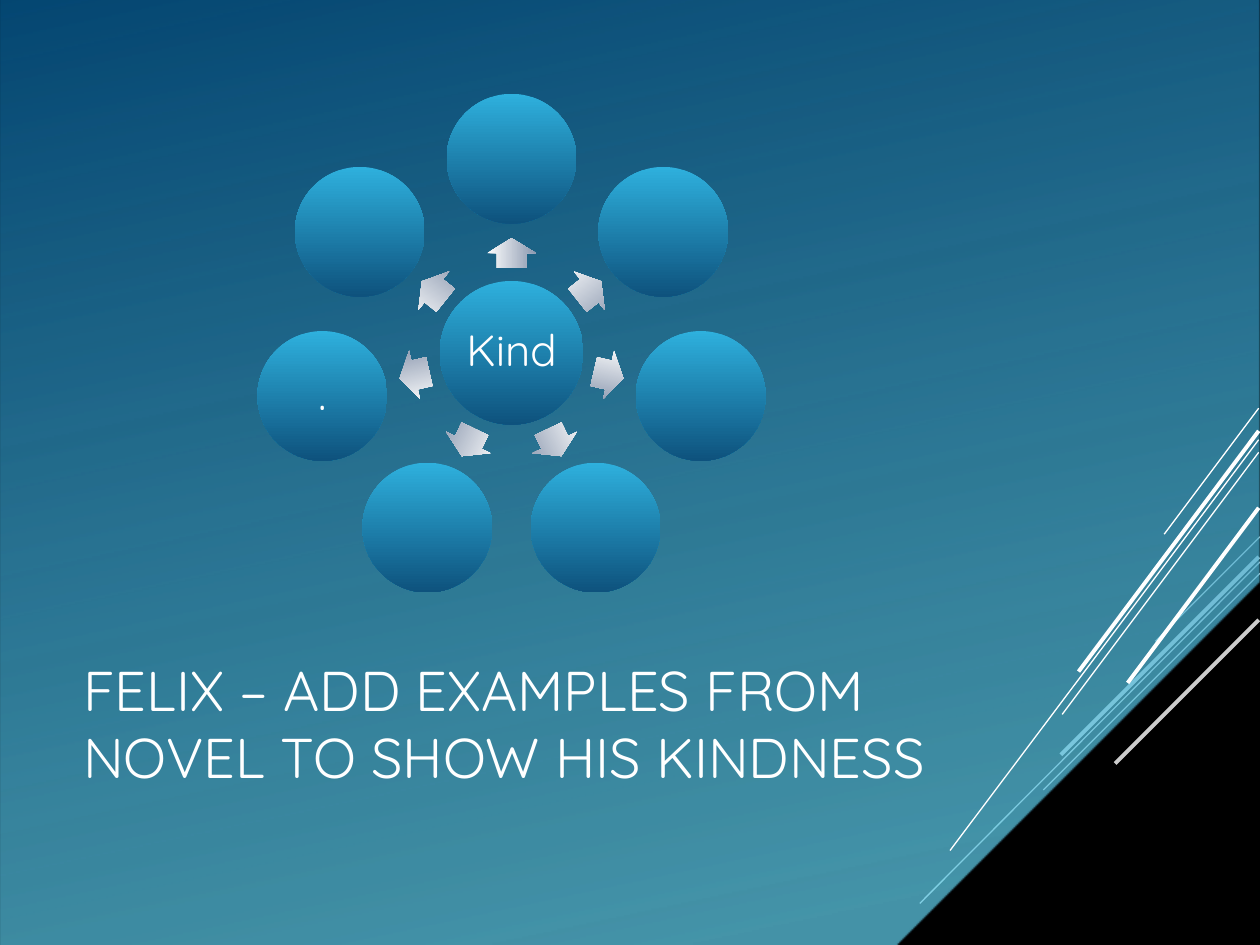
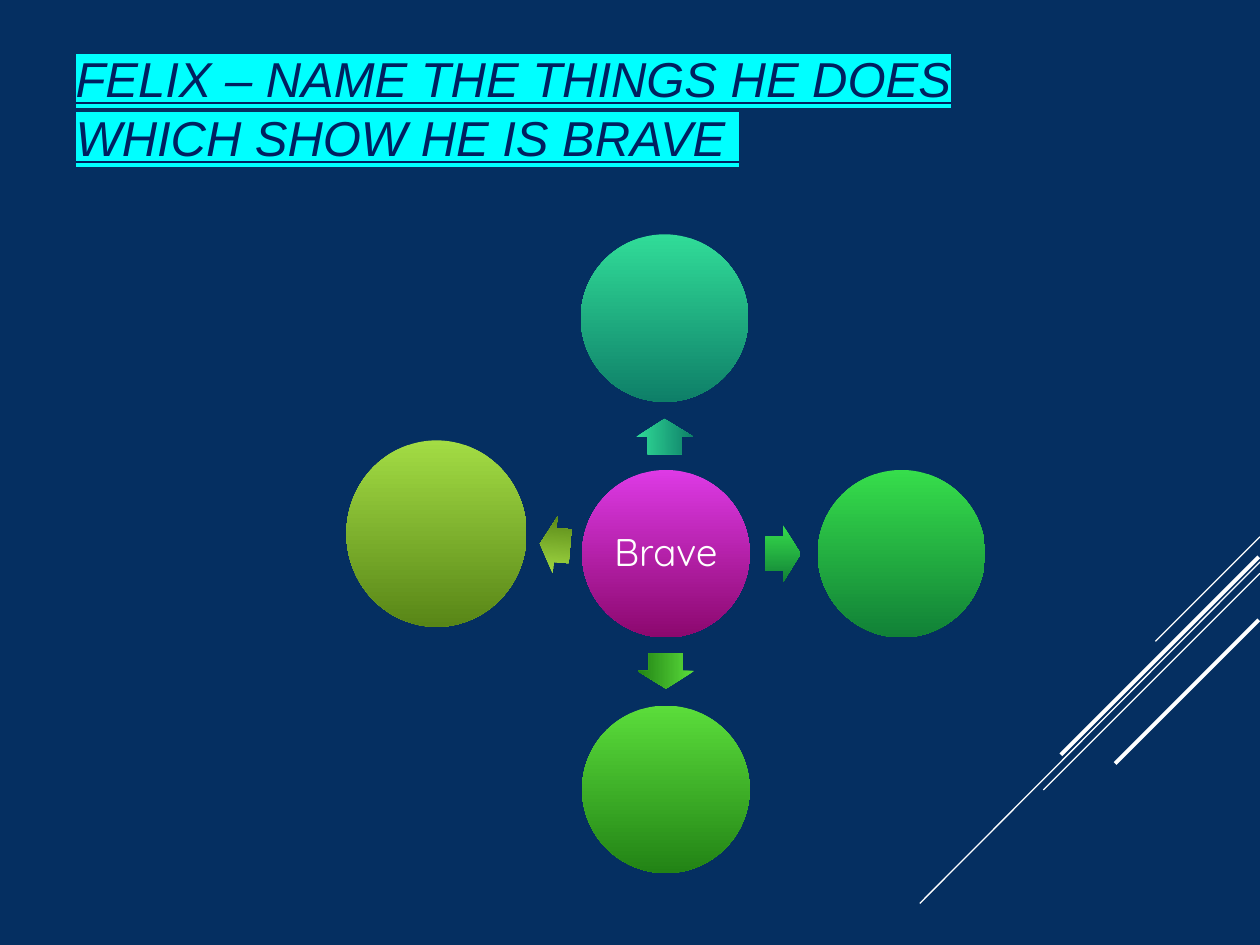
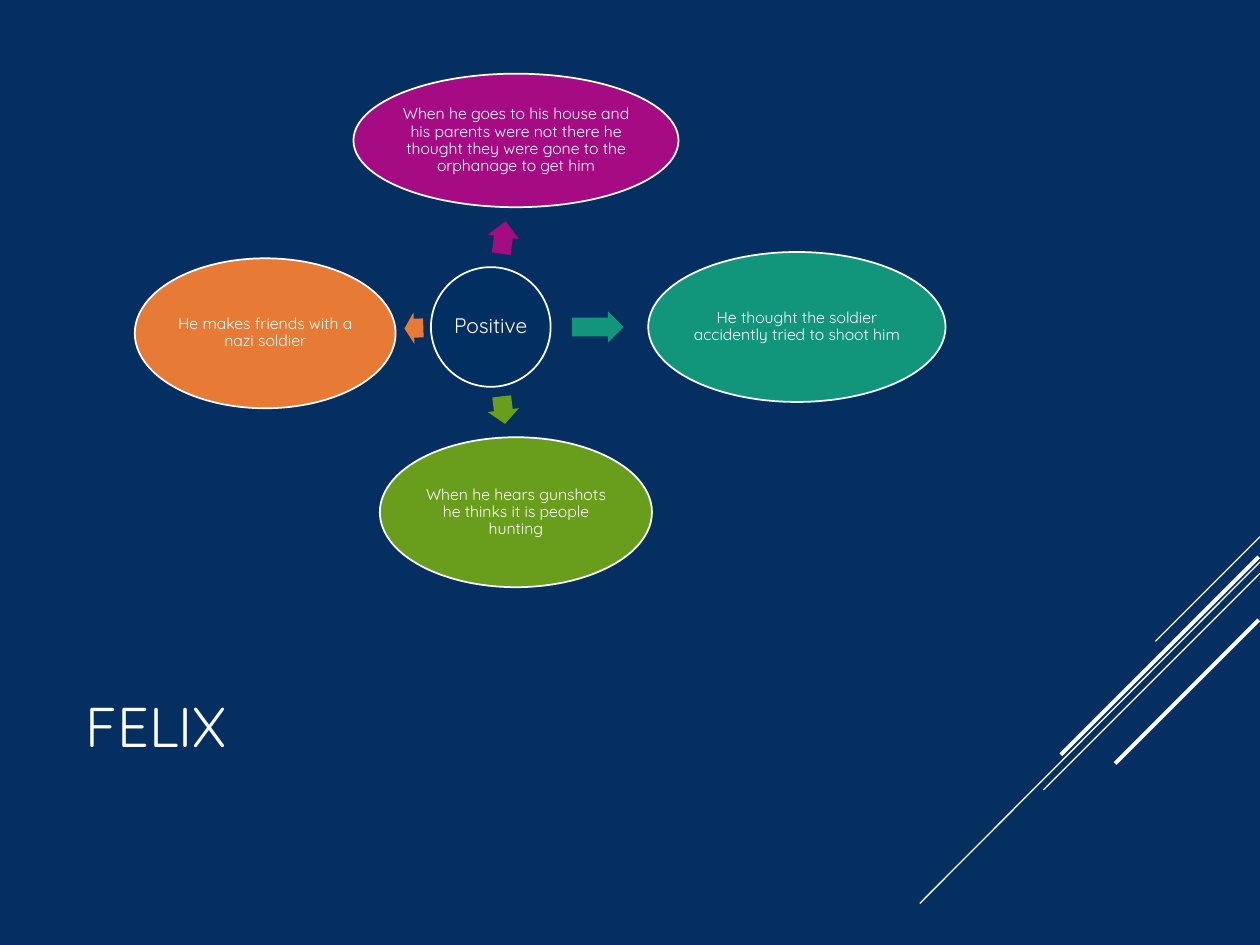
import math
from dataclasses import dataclass
from typing import Any

from lxml import etree
from pptx import Presentation
from pptx.dml.color import RGBColor
from pptx.enum.shapes import MSO_CONNECTOR, MSO_SHAPE
from pptx.enum.text import MSO_ANCHOR, MSO_AUTO_SIZE, PP_ALIGN
from pptx.oxml.ns import qn
from pptx.util import Inches, Pt

STRAIGHT = MSO_CONNECTOR.STRAIGHT
ELLIPSE, RIGHT_ARROW = MSO_SHAPE.OVAL, MSO_SHAPE.RIGHT_ARROW
RECTANGLE, SNIPPED = MSO_SHAPE.RECTANGLE, MSO_SHAPE.SNIP_1_RECTANGLE
MIDDLE = MSO_ANCHOR.MIDDLE
NO_AUTOFIT = MSO_AUTO_SIZE.NONE
LEFT, CENTER = PP_ALIGN.LEFT, PP_ALIGN.CENTER

WHITE = RGBColor(0xFF, 0xFF, 0xFF)
BLACK = RGBColor(0x00, 0x00, 0x00)
NAVY = RGBColor(0x05, 0x2F, 0x61)
DEEP_NAVY = RGBColor(0x00, 0x20, 0x60)
HUB_NAVY = RGBColor(0x02, 0x2F, 0x61)
CYAN = RGBColor(0x00, 0xFF, 0xFF)
SKY = RGBColor(0x62, 0xD2, 0xEF)
OCEAN = RGBColor(0x05, 0x57, 0x8D)
PURPLE = RGBColor(0xA5, 0x0B, 0x82)
TEAL = RGBColor(0x11, 0x96, 0x7B)
OLIVE = RGBColor(0x68, 0x9E, 0x1C)
ORANGE = RGBColor(0xE7, 0x7A, 0x35)

BLUE_FADE = (RGBColor(0x2E, 0xB0, 0xDD), RGBColor(0x0E, 0x52, 0x7D))
SILVER_FADE = (RGBColor(0xFE, 0xFE, 0xFE), RGBColor(0x8A, 0x98, 0xAF))
MAGENTA_FADE = (RGBColor(0xDD, 0x3A, 0xE5), RGBColor(0x8C, 0x08, 0x6E))
MINT_FADE = (RGBColor(0x31, 0xDC, 0x98), RGBColor(0x0E, 0x7F, 0x68))
GREEN_FADE = (RGBColor(0x36, 0xDD, 0x4B), RGBColor(0x11, 0x81, 0x37))
GRASS_FADE = (RGBColor(0x5B, 0xDD, 0x3B), RGBColor(0x22, 0x83, 0x15))
LIME_FADE = (RGBColor(0xA3, 0xDC, 0x44), RGBColor(0x58, 0x86, 0x17))

BODY_FONT = "Quicksand"
SLIDE_WIDTH, SLIDE_HEIGHT = 10, 7.5
THIN, THICK = 0.75, 2.25

DIAGONAL_STREAKS = [
    (10, 4.26, 9.17, 5.09, THIN),
    (10, 4.46, 7.3, 7.17, THIN),
    (10, 4.55, 8.28, 6.27, THIN),
    (9.99, 4.42, 8.42, 5.99, THICK),
    (9.99, 4.92, 8.85, 6.06, THICK),
]
STEEP_STREAKS = [
    (9.99, 3.24, 9.24, 4.24, THIN),
    (9.99, 3.49, 7.54, 6.75, THIN),
    (9.99, 3.59, 8.43, 5.67, THIN),
    (9.99, 3.42, 8.56, 5.33, THICK),
    (9.99, 4.03, 8.95, 5.42, THICK),
]


@dataclass
class Spoke:
    petal_offset: tuple
    petal_size: tuple
    arrow_offset: tuple
    arrow_size: tuple
    angle: float
    petal_paint: Any
    arrow_paint: Any
    text: str = ""


@dataclass
class Style:
    hub_size: float
    petal_size: float
    inset: float
    outlined: bool = False


def apply_gradient(shape, stops, angle):
    gradient = etree.Element(qn("a:gradFill"), rotWithShape="1")
    stop_list = etree.SubElement(gradient, qn("a:gsLst"))
    for position, color, opacity in stops:
        stop = etree.SubElement(stop_list, qn("a:gs"), pos=str(position * 1000))
        tint = etree.SubElement(stop, qn("a:srgbClr"), val=str(color))
        if opacity < 100:
            etree.SubElement(tint, qn("a:alpha"), val=str(opacity * 1000))
    etree.SubElement(gradient, qn("a:lin"), ang=str(angle * 60000), scaled="0")
    shape._element.spPr.find(qn("a:prstGeom")).addnext(gradient)


def add_plain_shape(slide, kind, box):
    shape = slide.shapes.add_shape(kind, *map(Inches, box))
    shape.shadow.inherit = False
    shape.line.fill.background()
    return shape


def add_centred(slide, kind, centre, size, paint):
    box = (centre[0] - size[0] / 2, centre[1] - size[1] / 2, *size)
    shape = add_plain_shape(slide, kind, box)
    if isinstance(paint, RGBColor):
        shape.fill.solid()
        shape.fill.fore_color.rgb = paint
    else:
        apply_gradient(shape, [(0, paint[0], 100), (100, paint[1], 100)], 90)
    return shape


def add_disc(slide, centre, size, paint, text, font_size, style):
    disc = add_centred(slide, ELLIPSE, centre, size, paint)
    if style.outlined:
        disc.line.color.rgb = WHITE
        disc.line.width = Pt(1)
    if not text:
        return
    frame = disc.text_frame
    frame.word_wrap = True
    frame.vertical_anchor = MIDDLE
    frame.margin_left = frame.margin_right = Inches(style.inset)
    frame.margin_top = frame.margin_bottom = Inches(style.inset)
    label = frame.paragraphs[0]
    label.text = text
    label.alignment = CENTER
    label.line_spacing = 0.9
    label.font.name = BODY_FONT
    label.font.size = Pt(font_size)
    label.font.color.rgb = WHITE


def add_hub_diagram(slide, hub_box, hub_text, hub_paint, spokes, style):
    left, top, width, height = hub_box
    hub = (left + width / 2, top + height / 2)

    def from_hub(offset):
        return hub[0] + offset[0], hub[1] + offset[1]

    add_disc(slide, hub, (width, height), hub_paint, hub_text, style.hub_size, style)
    for spoke in spokes:
        arrow = add_centred(slide, RIGHT_ARROW, from_hub(spoke.arrow_offset),
                            spoke.arrow_size, spoke.arrow_paint)
        arrow.adjustments[0] = 0.6
        arrow.adjustments[1] = 0.5
        arrow.rotation = spoke.angle
        add_disc(slide, from_hub(spoke.petal_offset), spoke.petal_size,
                 spoke.petal_paint, spoke.text, style.petal_size, style)


def ring_spokes(texts, petal_radius, arrow_radius, petal_size, arrow_size):
    spokes = []
    for index, text in enumerate(texts):
        angle = (270 + index * 360 / len(texts)) % 360
        turn = math.radians(angle)
        direction = (math.cos(turn), math.sin(turn))
        spokes.append(Spoke(
            tuple(petal_radius * part for part in direction), petal_size,
            tuple(arrow_radius * part for part in direction), arrow_size,
            angle, BLUE_FADE, SILVER_FADE, text))
    return spokes


def add_streaks(slide, streaks):
    for x1, y1, x2, y2, weight in streaks:
        streak = slide.shapes.add_connector(STRAIGHT, *map(Inches, (x1, y1, x2, y2)))
        streak.line.color.rgb = WHITE
        streak.line.width = Pt(weight)
        etree.SubElement(streak._element.spPr, qn("a:effectLst"))


def add_backdrop(slide):
    whole_slide = (0, 0, SLIDE_WIDTH, SLIDE_HEIGHT)
    shade = add_plain_shape(slide, RECTANGLE, whole_slide)
    shade.fill.solid()
    shade.fill.fore_color.rgb = BLACK
    tint = shade._element.spPr.find(".//" + qn("a:srgbClr"))
    etree.SubElement(tint, qn("a:alpha"), val="20000")
    page = add_plain_shape(slide, SNIPPED, whole_slide)
    page.adjustments[0] = 0.384
    page.rotation = 180
    page._element.spPr.find(qn("a:xfrm")).set("flipH", "1")
    apply_gradient(page, [(0, SKY, 70), (10, SKY, 70), (100, OCEAN, 80)], 102)


def set_title(slide, box, text, size=32, font_name=BODY_FONT, color=WHITE):
    title = slide.shapes.title
    title.left, title.top, title.width, title.height = map(Inches, box)
    slide.shapes._spTree.append(title._element)
    frame = title.text_frame
    frame.word_wrap = True
    frame.auto_size = NO_AUTOFIT
    frame.vertical_anchor = MIDDLE
    heading = frame.paragraphs[0]
    heading.text = text
    heading.alignment = LEFT
    heading.font.name = font_name
    heading.font.size = Pt(size)
    heading.font.color.rgb = color
    return heading


def highlight(heading, color):
    properties = heading.runs[0].font._element
    marker = etree.SubElement(properties, qn("a:highlight"))
    etree.SubElement(marker, qn("a:srgbClr"), val=str(color))


def new_slide(prs, background):
    slide = prs.slides.add_slide(prs.slide_layouts[5])
    slide.background.fill.solid()
    slide.background.fill.fore_color.rgb = background
    add_streaks(slide, DIAGONAL_STREAKS)
    return slide


def build_kind_slide(prs):
    slide = new_slide(prs, BLACK)
    add_backdrop(slide)
    set_title(slide, (0.56, 4.91, 7, 1.65),
              "FELIX – ADD EXAMPLES FROM NOVEL TO SHOW HIS KINDNESS")
    add_streaks(slide, STEEP_STREAKS)
    spokes = ring_spokes(["", "", "", "", "", ".", ""], 1.54, 0.79,
                         (1.03, 1.03), (0.24, 0.39))
    add_hub_diagram(slide, (3.49, 2.23, 1.14, 1.14), "Kind", BLUE_FADE, spokes,
                    Style(25, 25, 0.03))


def build_brave_slide(prs):
    slide = new_slide(prs, NAVY)
    heading = set_title(slide, (0.5, 0.3, 8.09, 1.11),
                        "FELIX – NAME THE THINGS HE DOES WHICH SHOW HE IS BRAVE ",
                        28, "Arial", DEEP_NAVY)
    heading.font.italic = True
    heading.font.underline = True
    highlight(heading, CYAN)
    petal, arrow = (1.33, 1.33), (0.28, 0.45)
    spokes = [
        Spoke((-0.01, -1.87), petal, (-0.01, -0.93), arrow, 269.6, MINT_FADE, MINT_FADE),
        Spoke((1.87, 0), petal, (0.93, 0), arrow, 0, GREEN_FADE, GREEN_FADE),
        Spoke((0, 1.87), petal, (0, 0.93), arrow, 90, GRASS_FADE, GRASS_FADE),
        Spoke((-1.82, -0.16), (1.43, 1.48), (-0.88, -0.07), (0.24, 0.45), 184.9,
              LIME_FADE, LIME_FADE),
    ]
    add_hub_diagram(slide, (4.62, 3.73, 1.33, 1.33), "Brave", MAGENTA_FADE, spokes,
                    Style(22, 22, 0.03))


def build_positive_slide(prs):
    slide = new_slide(prs, NAVY)
    set_title(slide, (0.58, 4.92, 7.17, 1.67), "FELIX")
    spokes = [
        Spoke((0.2, -1.48), (2.58, 1.06), (0.1, -0.71), (0.26, 0.25), 277.8,
              PURPLE, PURPLE,
              "When he goes to his house and his parents were not there he "
              "thought they were gone to the orphanage to get him"),
        Spoke((2.43, 0), (2.36, 1.19), (0.85, 0), (0.41, 0.25), 359.9,
              TEAL, TEAL, "He thought the soldier accidently tried to shoot him"),
        Spoke((0.2, 1.47), (2.16, 1.19), (0.1, 0.66), (0.22, 0.25), 83,
              OLIVE, OLIVE, "When he hears gunshots he thinks it is people hunting"),
        Spoke((-1.79, 0.05), (2.07, 1.19), (-0.61, 0.01), (0.15, 0.25), 178.3,
              ORANGE, ORANGE, "He makes friends with a nazi soldier"),
    ]
    add_hub_diagram(slide, (3.42, 2.12, 0.95, 0.95), "Positive", HUB_NAVY, spokes,
                    Style(12, 9, 0.01, outlined=True))


def main():
    prs = Presentation()
    prs.slide_width = Inches(SLIDE_WIDTH)
    prs.slide_height = Inches(SLIDE_HEIGHT)
    build_kind_slide(prs)
    build_brave_slide(prs)
    build_positive_slide(prs)
    prs.save("out.pptx")


if __name__ == "__main__":
    main()
